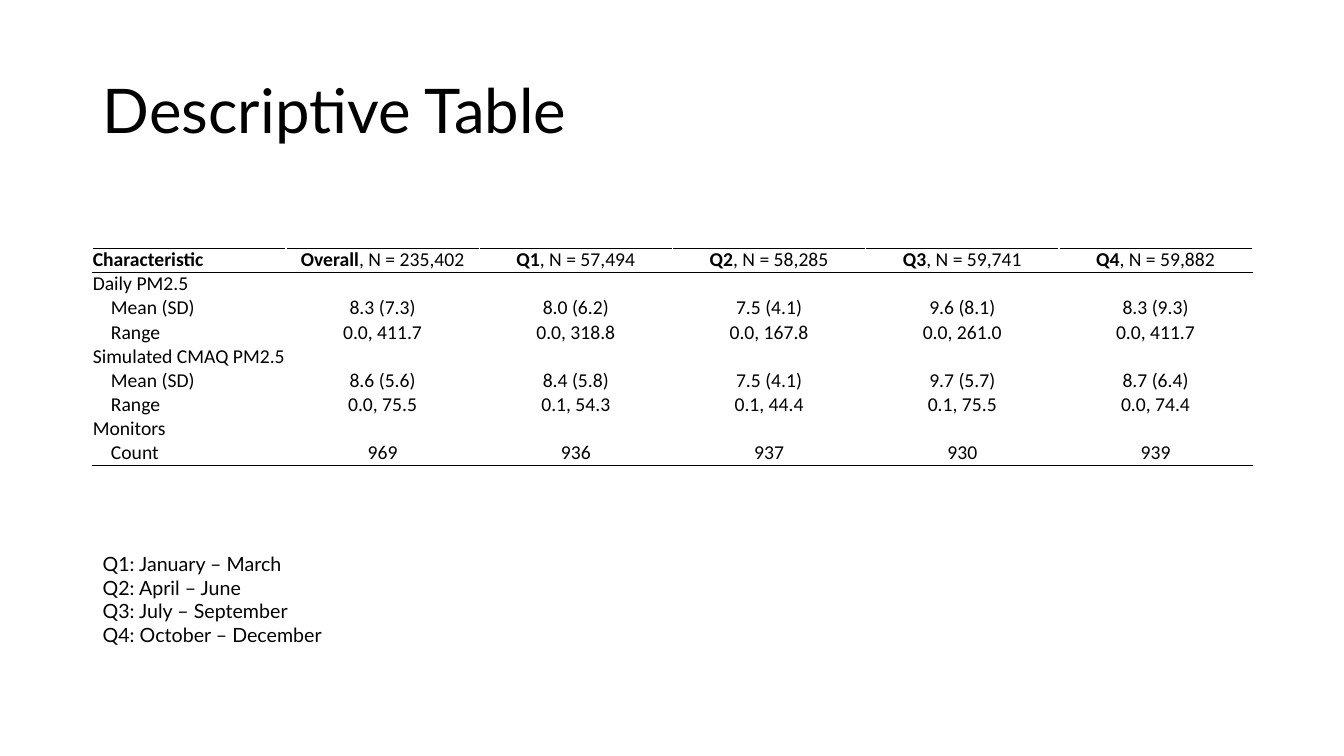
from lxml.etree import SubElement
from pptx import Presentation
from pptx.dml.color import RGBColor
from pptx.enum.text import MSO_ANCHOR as ANCHOR, MSO_AUTO_SIZE as AUTO, PP_ALIGN as ALIGN
from pptx.oxml import parse_xml
from pptx.oxml.ns import nsdecls, qn
from pptx.util import Inches, Pt

BLACK = RGBColor(0, 0, 0)
MARGIN, CONTENT_W = 0.92, 11.5
ROW_H, INDENT = 0.24, 0.18

HEADERS = [("Characteristic", ""), ("Overall", ", N = 235,402"), ("Q1", ", N = 57,494"),
           ("Q2", ", N = 58,285"), ("Q3", ", N = 59,741"), ("Q4", ", N = 59,882")]
SECTIONS = [
    ("Daily PM2.5", [
        ["Mean (SD)", "8.3 (7.3)", "8.0 (6.2)", "7.5 (4.1)", "9.6 (8.1)", "8.3 (9.3)"],
        ["Range", "0.0, 411.7", "0.0, 318.8", "0.0, 167.8", "0.0, 261.0", "0.0, 411.7"]]),
    ("Simulated CMAQ PM2.5", [
        ["Mean (SD)", "8.6 (5.6)", "8.4 (5.8)", "7.5 (4.1)", "9.7 (5.7)", "8.7 (6.4)"],
        ["Range", "0.0, 75.5", "0.1, 54.3", "0.1, 44.4", "0.1, 75.5", "0.0, 74.4"]]),
    ("Monitors", [["Count", "969", "936", "937", "930", "939"]]),
]
QUARTERS = ["Q1: January – March", "Q2: April – June",
            "Q3: July – September", "Q4: October – December"]


def set_font(p, name, size):
    """Give a paragraph its font, size and colour."""
    p.font.name, p.font.size = name, Pt(size)
    p.font.color.rgb = BLACK


def add_title(s, text, box):
    """Place the title placeholder in the box."""
    sp = s.shapes.title
    sp.left, sp.top, sp.width, sp.height = map(Inches, box)
    tf = sp.text_frame
    tf.text = text
    tf.vertical_anchor = ANCHOR.MIDDLE
    p = tf.paragraphs[0]
    p.alignment, p.line_spacing = ALIGN.LEFT, 0.9
    set_font(p, "Lato", 44)


def add_rule(cell, side):
    """Draw a thin black border on the T or B side of a cell."""
    cell._tc.get_or_add_tcPr().append(parse_xml(
        f'<a:ln{side} {nsdecls("a")} w="{Pt(0.5)}"><a:solidFill>'
        f'<a:srgbClr val="{BLACK}"/></a:solidFill></a:ln{side}>'))


def fill_cell(cell, runs, centred, indent):
    """Write (text, bold) runs into a cell without margins or fill."""
    cell.margin_left = Inches(indent)
    cell.margin_right = cell.margin_top = cell.margin_bottom = 0
    cell.fill.background()
    p = cell.text_frame.paragraphs[0]
    p.alignment = ALIGN.CENTER if centred else ALIGN.LEFT
    set_font(p, "Calibri", 14)
    for text, bold in runs:
        r = p.add_run()
        r.text, r.font.bold = text, bold
    if not runs:
        SubElement(p._p, qn("a:endParaRPr"), sz="1400")


def add_summary_table(s, box):
    """Place the descriptive table in the box with rules around header and body."""
    rows = [(0, [[(t, b) for t, b in ((name, True), (count, False)) if t]
                 for name, count in HEADERS])]
    for heading, stats in SECTIONS:
        rows.append((0, [[(heading, False)]] + [[]] * (len(HEADERS) - 1)))
        rows += [(INDENT, [[(text, False)] for text in stat]) for stat in stats]

    table = s.shapes.add_table(len(rows), len(HEADERS), *map(Inches, box)).table
    table.first_row = table.horz_banding = False
    for i, (indent, cells) in enumerate(rows):
        table.rows[i].height = Inches(ROW_H)
        for j, runs in enumerate(cells):
            cell = table.cell(i, j)
            if i in (0, 1):
                add_rule(cell, "T")
            if i in (0, len(rows) - 1):
                add_rule(cell, "B")
            fill_cell(cell, runs, j > 0, 0 if j else indent)


def add_quarter_key(s, box):
    """List the months of each quarter in the box."""
    tf = s.shapes.add_textbox(*map(Inches, box)).text_frame
    tf.word_wrap, tf.auto_size = True, AUTO.SHAPE_TO_FIT_TEXT
    tf.text = "\n".join(QUARTERS)
    for p in tf.paragraphs:
        set_font(p, "Lato", 14)


def main():
    """Build and save the slide."""
    prs = Presentation()
    prs.slide_width, prs.slide_height = Inches(13.33), Inches(7.5)
    s = prs.slides.add_slide(prs.slide_layouts[5])
    add_title(s, "Descriptive Table", (MARGIN, 0.4, CONTENT_W, 1.45))
    add_summary_table(s, (MARGIN, 2.46, CONTENT_W, 9 * ROW_H))
    add_quarter_key(s, (MARGIN, 5.43, CONTENT_W, 1.04))
    prs.save("out.pptx")


if __name__ == "__main__":
    main()
